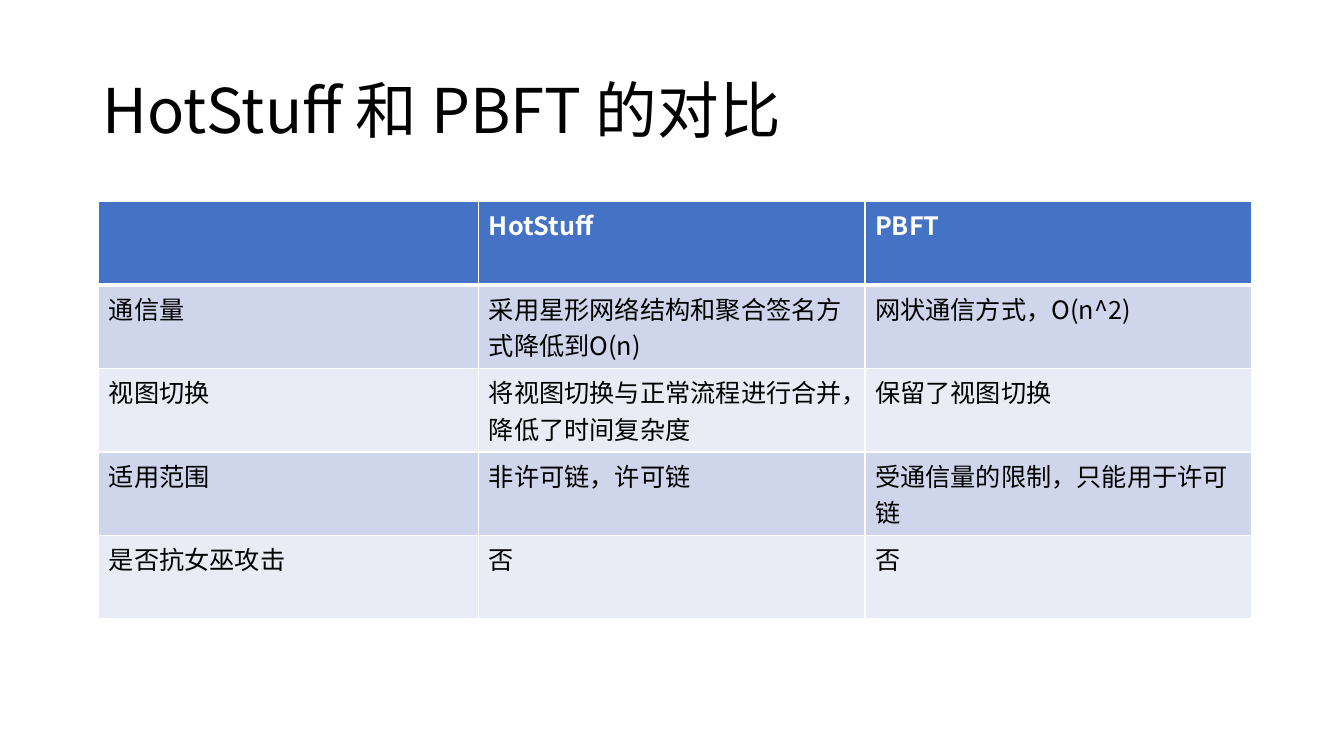
from dataclasses import dataclass

from lxml import etree
from pptx import Presentation
from pptx.dml.color import RGBColor
from pptx.enum.text import MSO_ANCHOR
from pptx.oxml.ns import qn
from pptx.util import Inches, Pt

ANCHOR_MIDDLE = MSO_ANCHOR.MIDDLE
SLIDE_WIDTH = Inches(13.33)
SLIDE_HEIGHT = Inches(7.5)


@dataclass(frozen=True)
class Theme:
    font: str = "Noto Sans CJK SC"
    title_size: int = 44
    table_size: int = 18
    text: str = "000000"
    header_text: str = "FFFFFF"
    header_fill: str = "4472C4"
    band_fills: tuple[str, str] = ("CFD5EA", "E9EBF5")
    border: str = "FFFFFF"
    thin_border: int = 1
    thick_border: int = 3


@dataclass(frozen=True)
class Area:
    """Position and size as percentages of the slide."""
    left: float
    top: float
    width: float
    height: float

    def lengths(self) -> tuple[int, int, int, int]:
        return (across(self.left), down(self.top), across(self.width), down(self.height))


@dataclass(frozen=True)
class Comparison:
    aspect: str
    hotstuff: str
    pbft: str

    def texts(self) -> tuple[str, str, str]:
        return (self.aspect, self.hotstuff, self.pbft)


THEME = Theme()
COLUMN_SHARES = (28.28, 28.73, 28.73)
ROW_SHARE = 11.04
TITLE = "HotStuff 和 PBFT 的对比"
COMPARISONS = (
    Comparison("", "HotStuff", "PBFT"),
    Comparison("通信量", "采用星形网络结构和聚合签名方式降低到O(n)", "网状通信方式，O(n^2)"),
    Comparison("视图切换", "将视图切换与正常流程进行合并，降低了时间复杂度", "保留了视图切换"),
    Comparison("适用范围", "非许可链，许可链", "受通信量的限制，只能用于许可链"),
    Comparison("是否抗女巫攻击", "否", "否"),
)
TITLE_AREA = Area(6.88, 5.33, 86.25, 19.33)
TABLE_AREA = Area(7.35, 26.67, sum(COLUMN_SHARES), ROW_SHARE * len(COMPARISONS))


def across(share: float) -> int:
    return round(SLIDE_WIDTH * share / 100)


def down(share: float) -> int:
    return round(SLIDE_HEIGHT * share / 100)


def style_paragraph(paragraph, size: int, color: str, bold: bool = False) -> None:
    font = paragraph.font
    font.name = THEME.font
    font.size = Pt(size)
    font.bold = bold
    font.color.rgb = RGBColor.from_string(color)
    # East Asian typeface
    properties = paragraph._p.pPr.find(qn("a:defRPr"))
    etree.SubElement(properties, qn("a:ea"), typeface=THEME.font)


def add_border(cell, side: str, width: int) -> None:
    properties = cell._tc.get_or_add_tcPr()
    line = etree.SubElement(properties, qn(f"a:ln{side}"), w=str(Pt(width)))
    fill = etree.SubElement(line, qn("a:solidFill"))
    etree.SubElement(fill, qn("a:srgbClr"), val=THEME.border)


def draw_title(slide) -> None:
    frame = slide.shapes.add_textbox(*TITLE_AREA.lengths()).text_frame
    frame.word_wrap = True
    frame.vertical_anchor = ANCHOR_MIDDLE
    paragraph = frame.paragraphs[0]
    paragraph.text = TITLE
    paragraph.line_spacing = 0.9
    style_paragraph(paragraph, THEME.title_size, THEME.text)


def draw_cell(cell, text: str, row: int) -> None:
    is_header = row == 0
    # Borders, with a thick line under the header
    widths = {
        "L": THEME.thin_border,
        "R": THEME.thin_border,
        "T": THEME.thick_border if row == 1 else THEME.thin_border,
        "B": THEME.thick_border if is_header else THEME.thin_border,
    }
    for side, width in widths.items():
        add_border(cell, side, width)
    # Fill and text
    fill_color = THEME.header_fill if is_header else THEME.band_fills[(row - 1) % 2]
    cell.fill.solid()
    cell.fill.fore_color.rgb = RGBColor.from_string(fill_color)
    paragraph = cell.text_frame.paragraphs[0]
    paragraph.text = text
    text_color = THEME.header_text if is_header else THEME.text
    style_paragraph(paragraph, THEME.table_size, text_color, is_header)


def draw_table(slide) -> None:
    shape = slide.shapes.add_table(len(COMPARISONS), len(COLUMN_SHARES), *TABLE_AREA.lengths())
    table = shape.table
    for column, share in zip(table.columns, COLUMN_SHARES):
        column.width = across(share)
    for row, comparison in enumerate(COMPARISONS):
        table.rows[row].height = down(ROW_SHARE)
        for column, text in enumerate(comparison.texts()):
            draw_cell(table.cell(row, column), text, row)


def main() -> None:
    presentation = Presentation()
    presentation.slide_width = SLIDE_WIDTH
    presentation.slide_height = SLIDE_HEIGHT
    slide = presentation.slides.add_slide(presentation.slide_layouts[6])
    draw_title(slide)
    draw_table(slide)
    presentation.save("out.pptx")


if __name__ == "__main__":
    main()
